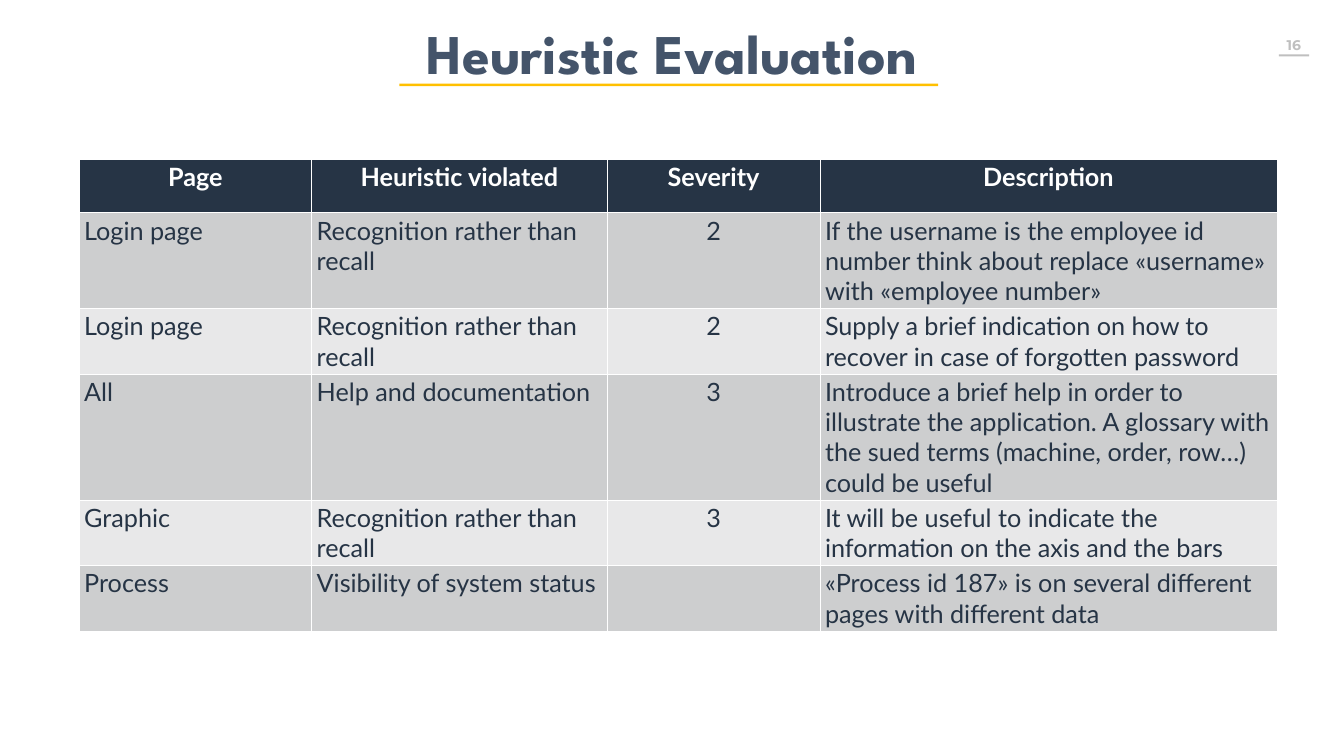
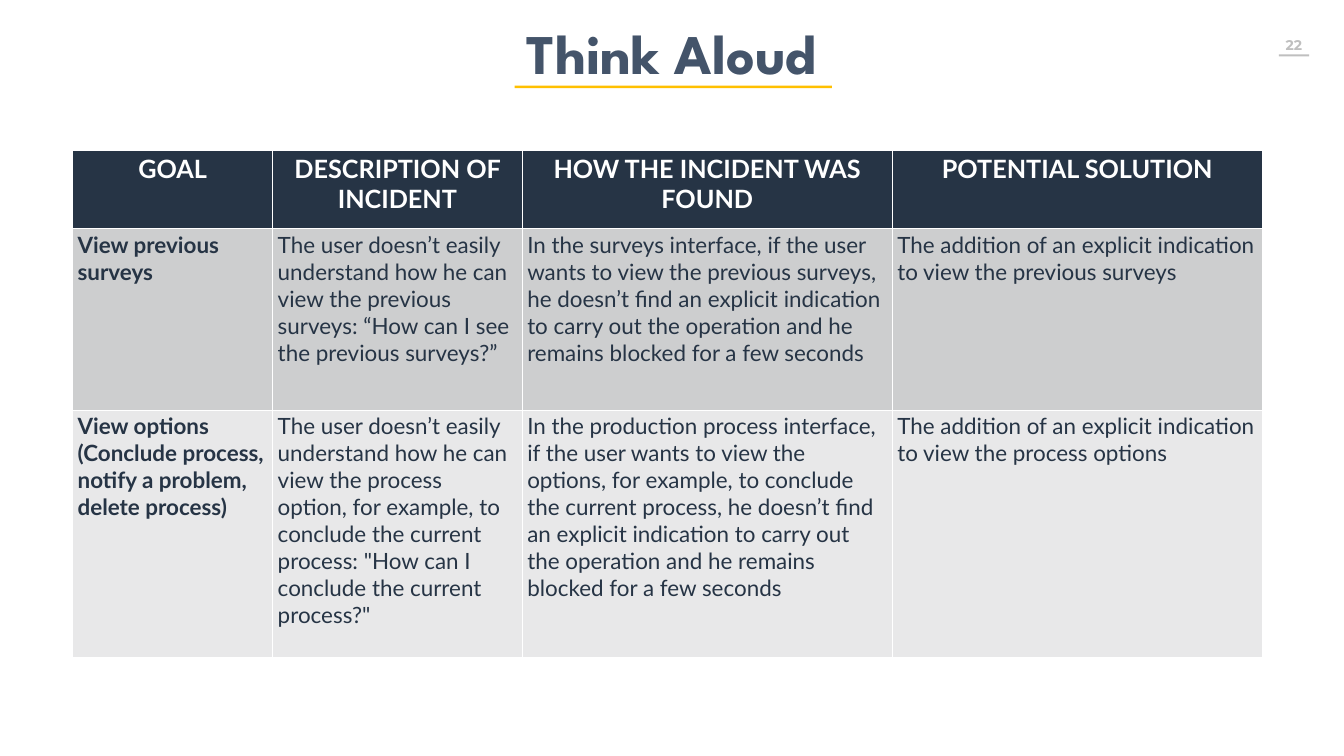
from dataclasses import dataclass

from pptx import Presentation
from pptx import util as u
from pptx.dml.color import RGBColor
from pptx.enum import shapes, text


@dataclass(frozen=True)
class Theme:
    slate: str = "44546A"
    navy: str = "263445"
    gold: str = "FFC000"
    grey: str = "BFBFBF"
    white: str = "FFFFFF"
    bands: tuple = ("CDCECF", "E8E8E9")
    title_font: str = "League Spartan"
    body_font: str = "Lato"
    number_font: str = "Montserrat"
    title_size: int = 80
    header_size: int = 36
    number_size: int = 20


THEME = Theme()
WIDTH, HEIGHT = u.Inches(26.66), u.Inches(15)
TITLE_AREA = (0, 2.13, 100, 9.67)
NUMBER_AREA = (94.79, 4.13, 3.53, 3.6)
NUMBER_RULE = (95.16, 7.2, 2.25, 0.27)

HEURISTICS = [
    ["Page", "Heuristic violated", "Severity", "Description"],
    ["Login page", "Recognition rather than recall", "2",
     "If the username is the employee id number think about replace "
     "«username» with «employee number»"],
    ["Login page", "Recognition rather than recall", "2",
     "Supply a brief indication on how to recover in case of forgotten password"],
    ["All", "Help and documentation", "3",
     "Introduce a brief help in order to illustrate the application. "
     "A glossary with the sued terms (machine, order, row…) could be useful"],
    ["Graphic", "Recognition rather than recall", "3",
     "It will be useful to indicate the information on the axis and the bars"],
    ["Process", "Visibility of system status", "",
     "«Process id 187» is on several different pages with different data"],
]

INCIDENTS = [
    ["GOAL", "DESCRIPTION OF INCIDENT", "HOW THE INCIDENT WAS FOUND",
     "POTENTIAL SOLUTION"],
    ["View previous surveys",
     "The user doesn’t easily understand how he can view the previous surveys: "
     "“How can I see the previous surveys?”",
     "In the surveys interface, if the user wants to view the previous surveys, "
     "he doesn’t find an explicit indication to carry out the operation "
     "and he remains blocked for a few seconds",
     "The addition of an explicit indication to view the previous surveys"],
    ["View options (Conclude process, notify a problem, delete process)",
     "The user doesn’t easily understand how he can view the process option, "
     "for example, to conclude the current process: "
     "\"How can I conclude the current process?\"",
     "In the production process interface, if the user wants to view the options, "
     "for example, to conclude the current process, he doesn’t find an explicit "
     "indication to carry out the operation and he remains blocked for a few seconds",
     "The addition of an explicit indication to view the process options"],
]


def share(area):
    return [round(side * part / 100)
            for side, part in zip((WIDTH, HEIGHT, WIDTH, HEIGHT), area)]


def paint(part, color):
    part.fill.solid()
    part.fill.fore_color.rgb = RGBColor.from_string(color)


def write(frame, words, *, font, size, color, bold=False, centered=False):
    paragraph = frame.paragraphs[0]
    paragraph.alignment = text.PP_ALIGN.CENTER if centered else text.PP_ALIGN.LEFT
    run = paragraph.add_run()
    run.text = words
    run.font.name = font
    run.font.size = u.Pt(size)
    run.font.bold = bold
    run.font.color.rgb = RGBColor.from_string(color)


def add_rule(slide, area, color):
    rule = slide.shapes.add_shape(shapes.MSO_SHAPE.RECTANGLE, *share(area))
    rule.shadow.inherit = False
    paint(rule, color)
    rule.line.fill.background()


def add_page_number(slide, number):
    box = slide.shapes.add_textbox(*share(NUMBER_AREA))
    frame = box.text_frame
    frame.word_wrap = False
    frame.margin_left, frame.margin_right = u.Inches(0.2), u.Inches(0.35)
    frame.margin_top = frame.margin_bottom = u.Inches(0.1)
    write(frame, str(number), font=THEME.number_font, size=THEME.number_size,
          color=THEME.grey, bold=True, centered=True)
    add_rule(slide, NUMBER_RULE, THEME.grey)


def add_title(slide, words, underline):
    title = slide.shapes.title
    title.left, title.top, title.width, title.height = share(TITLE_AREA)
    frame = title.text_frame
    frame.word_wrap = True
    frame.auto_size = text.MSO_AUTO_SIZE.SHAPE_TO_FIT_TEXT
    frame.vertical_anchor = text.MSO_ANCHOR.TOP
    write(frame, words, font=THEME.title_font, size=THEME.title_size,
          color=THEME.slate, bold=True, centered=True)
    add_rule(slide, underline, THEME.gold)


def split(tracks, length, weights, attribute):
    for track, weight in zip(tracks, weights):
        setattr(track, attribute, round(length * weight / sum(weights)))


def add_findings(slide, rows, area, columns, heights, *, size,
                 centered_column=None, bold_column=None):
    left, top, width, height = share(area)
    table = slide.shapes.add_table(len(rows), len(columns),
                                   left, top, width, height).table
    split(table.columns, width, columns, "width")
    split(table.rows, height, heights, "height")
    for r, row in enumerate(rows):
        header = r == 0
        for c, words in enumerate(row):
            cell = table.cell(r, c)
            paint(cell, THEME.navy if header else THEME.bands[(r - 1) % 2])
            if words:
                write(cell.text_frame, words, font=THEME.body_font,
                      size=THEME.header_size if header else size,
                      color=THEME.white if header else THEME.navy,
                      bold=header or c == bold_column,
                      centered=header or c == centered_column)


def add_page(deck, number, title, underline):
    slide = deck.slides.add_slide(deck.slide_layouts[5])
    add_page_number(slide, number)
    add_title(slide, title, underline)
    return slide


def main():
    deck = Presentation()
    deck.slide_width, deck.slide_height = WIDTH, HEIGHT

    evaluation = add_page(deck, 16, "Heuristic Evaluation", (29.71, 11.07, 40.1, 0.33))
    add_findings(evaluation, HEURISTICS, (5.89, 21.07, 89.12, 62.4),
                 columns=(4.61, 5.86, 4.22, 9.06),
                 heights=(1.06, 1.9, 1.3, 2.5, 1.3, 1.3),
                 size=36, centered_column=2)

    think_aloud = add_page(deck, 22, "Think Aloud", (38.3, 11.33, 23.59, 0.33))
    add_findings(think_aloud, INCIDENTS, (5.4, 19.93, 88.52, 67),
                 columns=(3.97, 4.95, 7.34, 7.34), heights=(1.55, 3.6, 4.9),
                 size=32, bold_column=0)

    deck.save("out.pptx")


if __name__ == "__main__":
    main()
